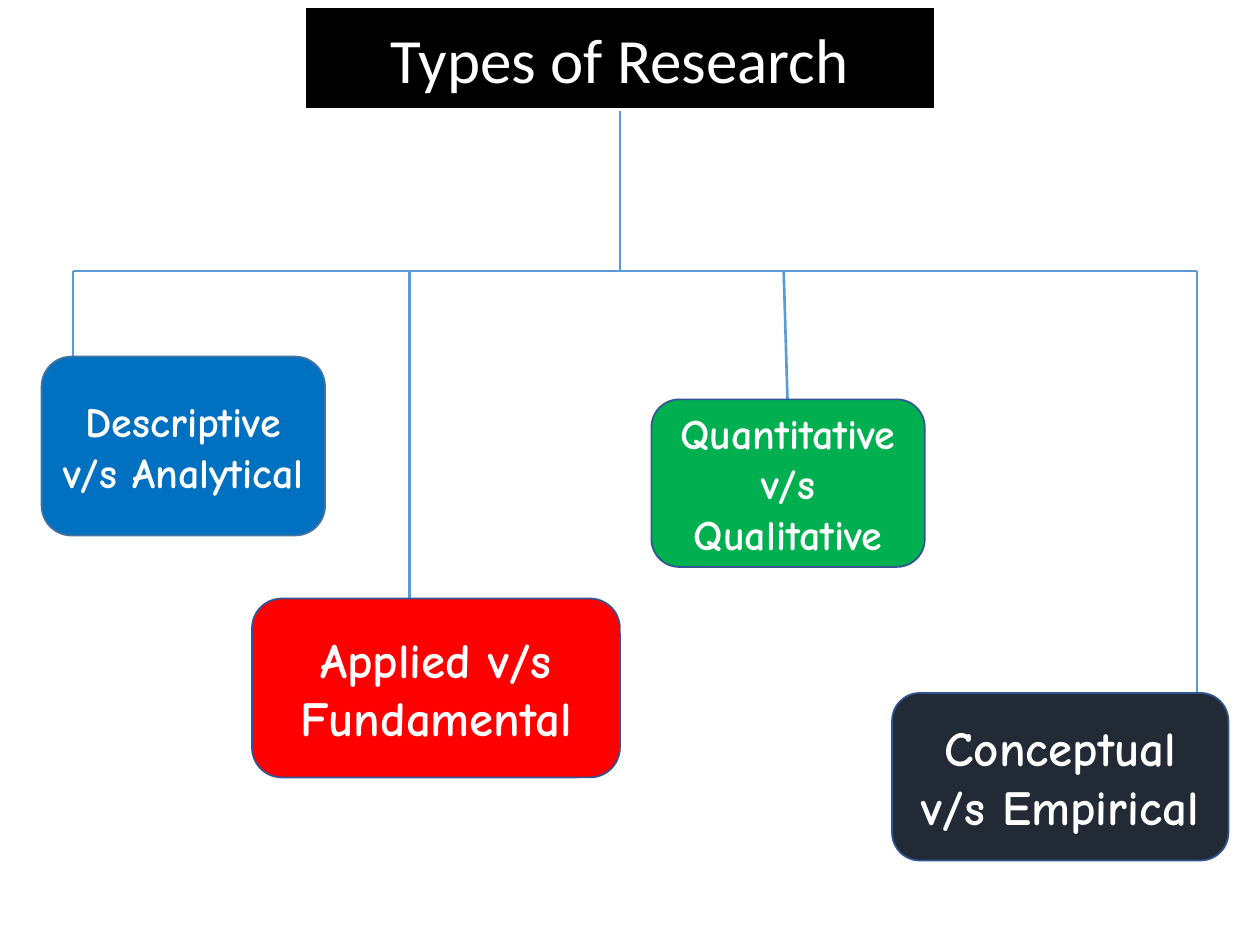
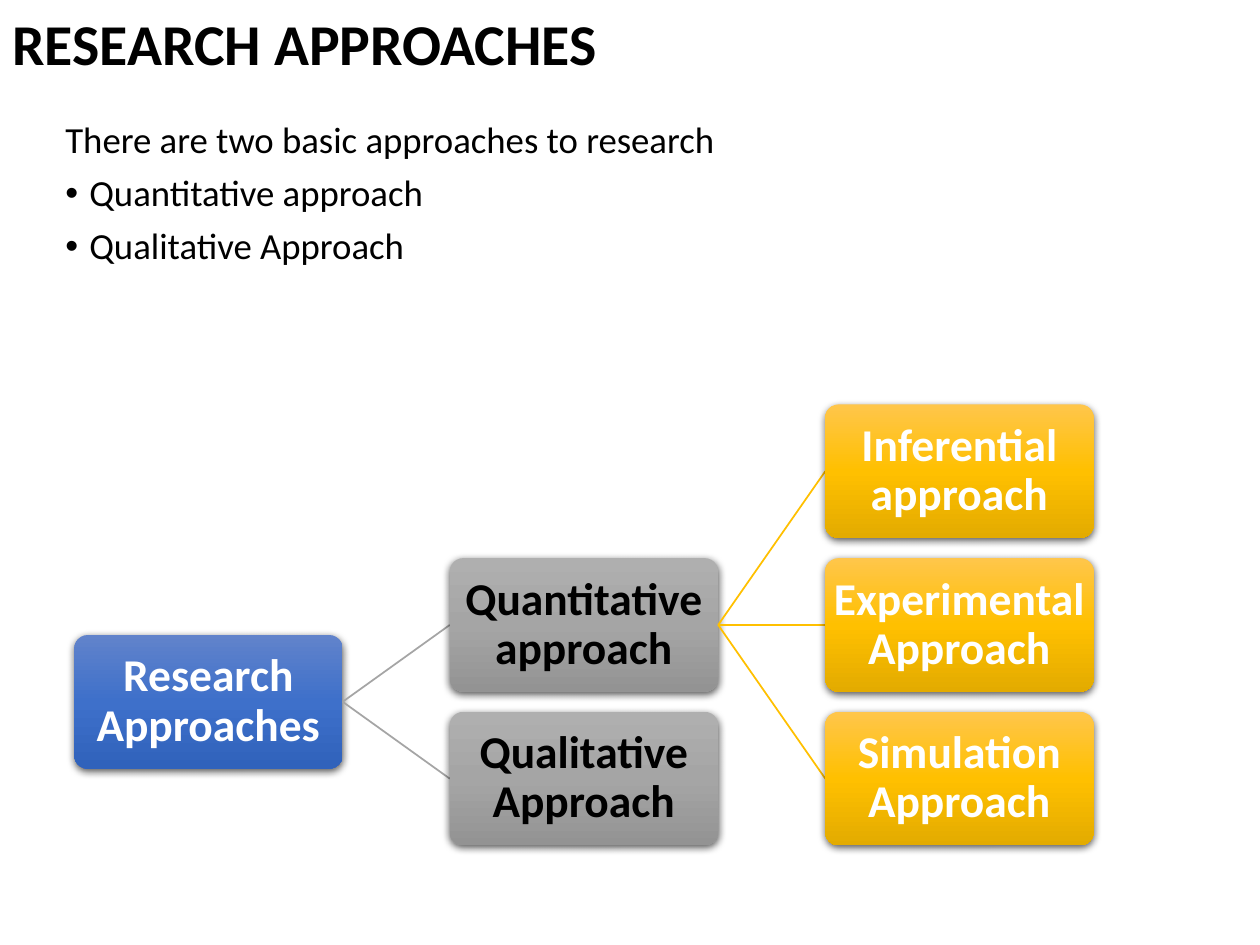
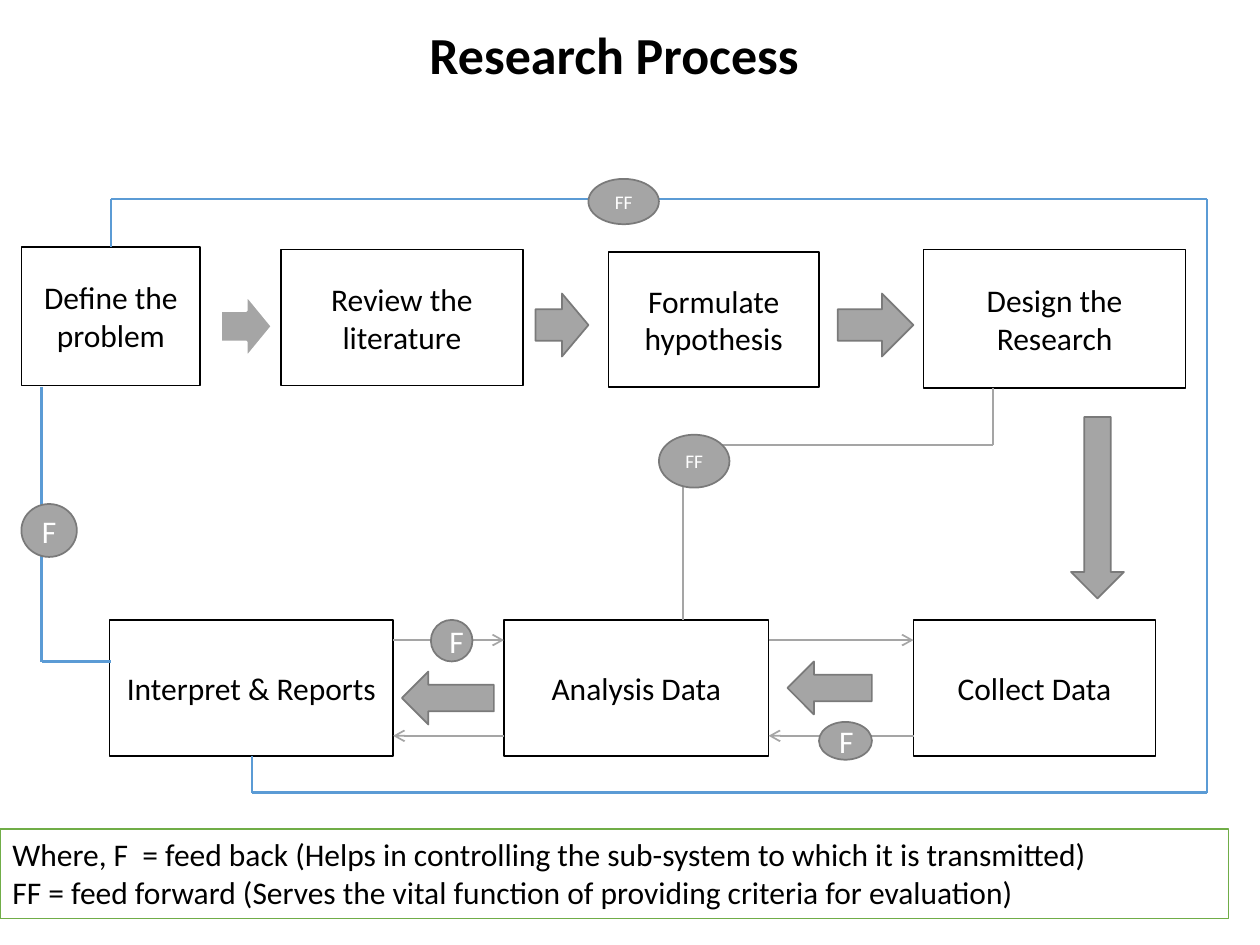
from copy import deepcopy

from lxml import etree
from pptx import Presentation
from pptx import util as u
from pptx.dml.color import RGBColor
from pptx.enum import shapes, text
from pptx.oxml import ns

# Shared look
WHITE, BLACK = RGBColor(255, 255, 255), RGBColor(0, 0, 0)
LINK_BLUE = RGBColor(0x5B, 0x9B, 0xD5)
GRAY, DARK_GRAY = RGBColor(0xA5, 0xA5, 0xA5), RGBColor(0x7A, 0x7A, 0x7A)
BLUE, RED = RGBColor(0, 0x70, 0xC0), RGBColor(255, 0, 0)
GREEN, NAVY = RGBColor(0, 0xB0, 0x50), RGBColor(0x22, 0x2A, 0x35)
STEEL, INDIGO = RGBColor(0x43, 0x73, 0x9E), RGBColor(0x32, 0x54, 0x91)
GOLD, LEAF = RGBColor(0xFF, 0xC0, 0), RGBColor(0x70, 0xAD, 0x47)
BLUE_FADE = [RGBColor.from_string(c) for c in ("6183CB", "3E70CA", "3062BB")]
GRAY_FADE = [RGBColor.from_string(c) for c in ("AFAFAF", "A5A5A5", "939393")]
GOLD_FADE = [RGBColor.from_string(c) for c in ("FFC64B", "FFC000", "E3AB00")]
BODY_FONT, ROUND_FONT = "Calibri", "Comic Neue"
KIND = shapes.MSO_SHAPE
CENTER, LEFT = text.PP_ALIGN.CENTER, text.PP_ALIGN.LEFT
MIDDLE, TOP = text.MSO_ANCHOR.MIDDLE, text.MSO_ANCHOR.TOP
SLIDE_W, SLIDE_H = 10, 7.5

# Slide 1: place, fill, outline, size, wording, and the line's x at rail and box
RAIL_Y = 2.15
TYPES = [
    ((0.33, 2.83, 2.25, 1.42), BLUE, STEEL, 24, "Descriptive v/s Analytical", 0.58, 0.58),
    ((2, 4.75, 2.92, 1.42), RED, INDIGO, 28, "Applied v/s Fundamental", 3.25, 3.25),
    ((5.17, 3.17, 2.17, 1.33), GREEN, INDIGO, 24, "Quantitative v/s Qualitative", 6.22, 6.25),
    ((7.08, 5.5, 2.67, 1.33), NAVY, INDIGO, 28, "Conceptual v/s Empirical", 9.5, 9.5),
]

# Slide 2: bullets, then tree nodes as column, row, parent, wording
APPROACHES = [
    ("There are two basic approaches to research", False),
    ("Quantitative approach", True),
    ("Qualitative Approach", True),
]
TREE = [
    (0, 1.5, None, "Research Approaches"),
    (1, 1, 0, "Quantitative approach"),
    (1, 2, 0, "Qualitative Approach"),
    (2, 0, 1, "Inferential approach"),
    (2, 1, 1, "Experimental Approach"),
    (2, 2, 1, "Simulation Approach"),
]
LEVELS = [(BLUE_FADE, WHITE, None), (GRAY_FADE, BLACK, GRAY), (GOLD_FADE, WHITE, GOLD)]
TREE_LEFT, TREE_TOP, COLUMN, ROW = 0.59, 3.21, 2.98, 1.22
NODE_W, NODE_H, NODE_INSET = 2.13, 1.06, 0.02

# Slide 3: steps, block arrows, links and feedback marks
LOW_Y, LOW_H = 4.92, 1.08
STEPS = [
    ((0.17, 1.96, 1.42, 1.1), "Define the problem"),
    ((2.23, 1.98, 1.92, 1.08), "Review the literature"),
    ((4.83, 2, 1.67, 1.07), "Formulate hypothesis"),
    ((7.33, 1.98, 2.08, 1.1), "Design the Research"),
    ((4, LOW_Y, 2.1, LOW_H), "Analysis Data"),
    ((7.25, LOW_Y, 1.92, LOW_H), "Collect Data"),
    ((0.87, LOW_Y, 2.25, LOW_H), "Interpret & Reports"),
]
BLOCK_ARROWS = [
    (KIND.RIGHT_ARROW, (1.75, 2.34, 0.41, 0.5), WHITE, 1.5),
    (KIND.RIGHT_ARROW, (4.25, 2.33, 0.42, 0.5), DARK_GRAY, 1),
    (KIND.RIGHT_ARROW, (6.65, 2.33, 0.6, 0.5), DARK_GRAY, 1),
    (KIND.DOWN_ARROW, (8.5, 3.31, 0.42, 1.44), DARK_GRAY, 1),
    (KIND.LEFT_ARROW, (6.25, 5.25, 0.67, 0.42), DARK_GRAY, 1),
    (KIND.LEFT_ARROW, (3.19, 5.33, 0.73, 0.42), DARK_GRAY, 1),
]
LOOPS = [
    ([(0.88, 1.96), (0.88, 1.58)], LINK_BLUE, 1),
    ([(0.88, 1.58), (9.58, 1.58), (9.58, 6.29), (2, 6.29), (2, 6)], LINK_BLUE, 1.5),
    ([(0.33, 3.07), (0.33, 5.25), (0.88, 5.25)], LINK_BLUE, 1.5),
    ([(7.88, 3.08), (7.88, 3.53), (5.42, 3.53), (5.42, LOW_Y)], GRAY, 1),
]
EXCHANGES = [(3.12, 4), (6.1, 7.25)]
FORWARD_Y, BACK_Y = 5.08, 5.84
MARKS = [
    ((4.67, 1.42, 0.56, 0.36), "FF"),
    ((0.17, 4, 0.44, 0.42), "F"),
    ((6.5, 5.73, 0.42, 0.3), "F"),
    ((3.42, LOW_Y, 0.33, 0.33), "F"),
    ((5.23, 3.45, 0.56, 0.42), "FF"),
]
MARK_SIZE = {"FF": 11, "F": 18}
LEGEND = [
    "Where, F  = feed back (Helps in controlling the sub-system to which it is transmitted)",
    "FF = feed forward (Serves the vital function of providing criteria for evaluation)",
]


def inches(values):
    return [u.Inches(value) for value in values]


def add_xml(parent, tag, **attributes):
    return etree.SubElement(parent, ns.qn(tag), attributes)


def write(box, lines, size, color, font=BODY_FONT, bold=False, align=CENTER,
          anchor=MIDDLE, spacing=None):
    frame = box.text_frame
    frame.word_wrap = True
    frame.vertical_anchor = anchor
    for number, line in enumerate(lines):
        para = frame.add_paragraph() if number else frame.paragraphs[0]
        para.alignment = align
        if spacing:
            para.line_spacing = spacing
        span = para.add_run()
        span.text = line
        span.font.name, span.font.size, span.font.bold = font, u.Pt(size), bold
        span.font.color.rgb = color
    return frame


def add_title(page, place, wording, size, align):
    box = page.shapes.add_textbox(*inches(place))
    write(box, [wording], size, BLACK, bold=True, align=align, spacing=0.9)


def add_box(page, kind, place, fill, outline=None, weight=1):
    box = page.shapes.add_shape(kind, *inches(place))
    box.shadow.inherit = False
    box.fill.solid()
    box.fill.fore_color.rgb = fill
    if outline is None:
        box.line.fill.background()
    else:
        box.line.color.rgb = outline
        box.line.width = u.Pt(weight)
    return box


def add_lines(page, points, color, weight, arrow=False):
    for start, end in zip(points, points[1:]):
        line = page.shapes.add_connector(
            shapes.MSO_CONNECTOR.STRAIGHT, *inches(start + end))
        line.line.color.rgb = color
        line.line.width = u.Pt(weight)
        if arrow:
            add_xml(line.line._get_or_add_ln(), "a:tailEnd", type="arrow")
        add_xml(line._element.spPr, "a:effectLst")


def fade(box, colors):
    """Vertical three-colour gradient with a soft shadow below."""
    box.fill.gradient()
    box.fill.gradient_angle = 270
    properties = box._element.spPr
    stop_list = properties.find(".//" + ns.qn("a:gsLst"))
    stop_list.append(deepcopy(stop_list[0]))
    for stop, position, color in zip(box.fill.gradient_stops, (0, 0.5, 1), colors):
        stop.position = position
        stop.color.rgb = color
    shadow = add_xml(properties.find(ns.qn("a:effectLst")), "a:outerShdw",
                     blurRad=str(u.Pt(4.5)), dist=str(u.Pt(1.5)), dir="5400000",
                     algn="ctr", rotWithShape="0")
    add_xml(add_xml(shadow, "a:srgbClr", val="000000"), "a:alpha", val="63000")


def build_types(page):
    add_lines(page, [(4.92, 0.75), (4.92, RAIL_Y)], LINK_BLUE, 1.5)
    add_lines(page, [(TYPES[0][5], RAIL_Y), (TYPES[-1][5], RAIL_Y)], LINK_BLUE, 1.5)
    for place, fill, outline, size, wording, rail_x, box_x in TYPES:
        add_lines(page, [(rail_x, RAIL_Y), (box_x, place[1])], LINK_BLUE, 1.5)
        box = add_box(page, KIND.ROUNDED_RECTANGLE, place, fill, outline)
        write(box, [wording], size, WHITE, ROUND_FONT, bold=True)
    banner = add_box(page, KIND.RECTANGLE, (2.42, 0.05, 5, 0.82), BLACK, WHITE, 1.5)
    write(banner, ["Types of Research"], 36, WHITE)


def build_approaches(page):
    add_title(page, (0, 0, SLIDE_W, 0.75), "RESEARCH APPROACHES", 33, LEFT)
    body = page.shapes.add_textbox(*inches((0.42, 0.92, 9.08, 5.78)))
    frame = write(body, [line for line, _ in APPROACHES], 21, BLACK,
                  align=LEFT, anchor=TOP, spacing=0.9)
    for para, (_, bulleted) in zip(frame.paragraphs, APPROACHES):
        para.space_before = u.Pt(7.5)
        properties = para._p.get_or_add_pPr()
        properties.set("marL", str(u.Inches(0.19)))
        properties.set("indent", str(u.Inches(-0.19)))
        if bulleted:
            add_xml(properties, "a:buFont", typeface="Arial")
            add_xml(properties, "a:buChar", char="•")
        else:
            add_xml(properties, "a:buNone")

    # Tree of approaches
    corners = [(TREE_LEFT + column * COLUMN, TREE_TOP + row * ROW)
               for column, row, _, _ in TREE]
    for (left, top), (column, _, parent, wording) in zip(corners, TREE):
        colors, ink, link = LEVELS[column]
        if parent is not None:
            from_left, from_top = corners[parent]
            add_lines(page, [(from_left + NODE_W, from_top + NODE_H / 2),
                             (left, top + NODE_H / 2)], link, 1)
        node = add_box(page, KIND.ROUNDED_RECTANGLE, (left, top, NODE_W, NODE_H), colors[1])
        node.adjustments[0] = 0.1
        fade(node, colors)
        frame = write(node, [wording], 26, ink, bold=True, spacing=0.9)
        frame.margin_left = frame.margin_right = u.Inches(NODE_INSET)
        frame.margin_top = frame.margin_bottom = u.Inches(NODE_INSET)


def build_process(page):
    add_title(page, (0, 0.17, 9.75, 0.58), "Research Process", 29.7, CENTER)
    for place, wording in STEPS:
        write(add_box(page, KIND.RECTANGLE, place, WHITE, BLACK), [wording], 18, BLACK)
    for kind, place, outline, weight in BLOCK_ARROWS:
        add_box(page, kind, place, GRAY, outline, weight)
    for points, color, weight in LOOPS:
        add_lines(page, points, color, weight)
    for left, right in EXCHANGES:
        add_lines(page, [(left, FORWARD_Y), (right, FORWARD_Y)], GRAY, 1, arrow=True)
        add_lines(page, [(right, BACK_Y), (left, BACK_Y)], GRAY, 1, arrow=True)
    for place, mark in MARKS:
        box = add_box(page, KIND.OVAL, place, GRAY, DARK_GRAY)
        write(box, [mark], MARK_SIZE[mark], WHITE)
    legend = add_box(page, KIND.RECTANGLE, (0, 6.58, 9.75, 0.71), WHITE, LEAF)
    write(legend, LEGEND, 18, BLACK, align=LEFT, anchor=TOP)


def main():
    deck = Presentation()
    deck.slide_width, deck.slide_height = inches((SLIDE_W, SLIDE_H))
    for build in (build_types, build_approaches, build_process):
        build(deck.slides.add_slide(deck.slide_layouts[6]))
    deck.save("out.pptx")


if __name__ == "__main__":
    main()
